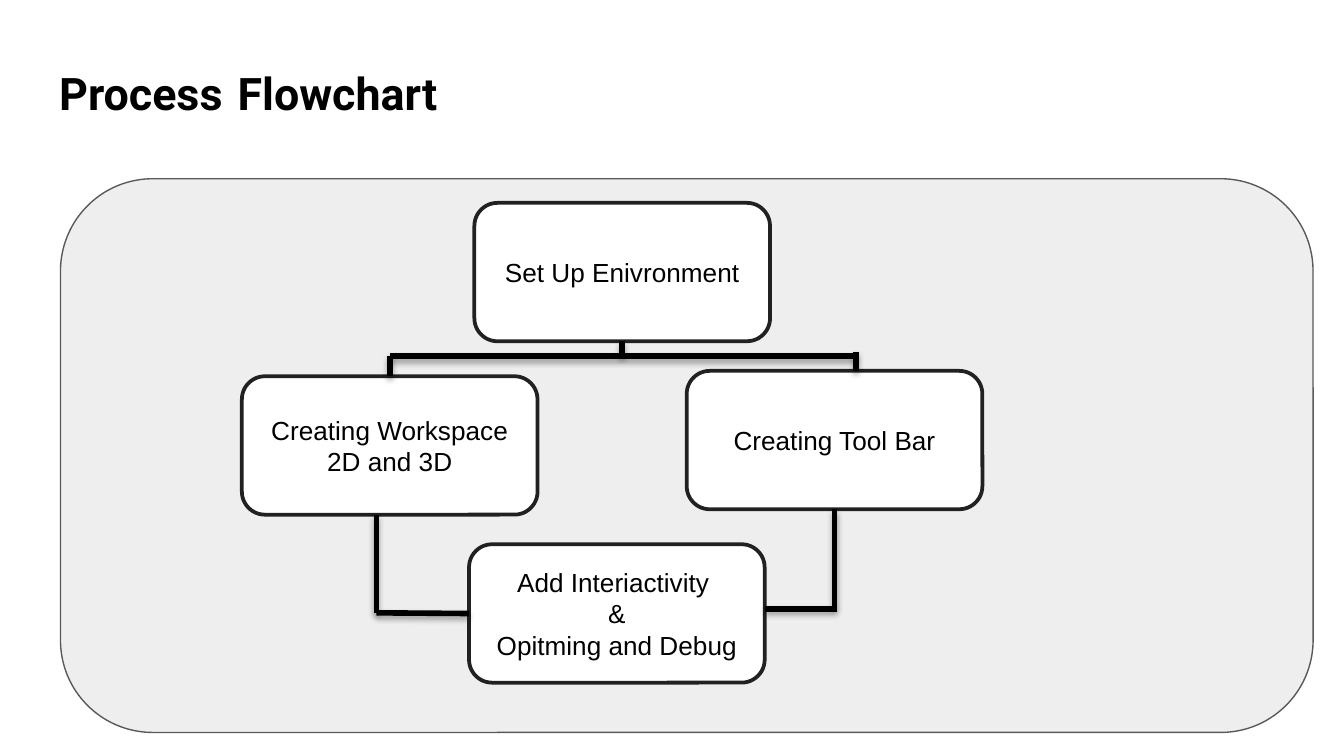
from lxml import etree
from pptx import Presentation
from pptx.dml.color import RGBColor
from pptx.enum.shapes import MSO_CONNECTOR, MSO_SHAPE
from pptx.enum.text import MSO_ANCHOR, PP_ALIGN
from pptx.oxml.ns import qn
from pptx.util import Inches, Pt

BLACK = RGBColor(0x00, 0x00, 0x00)
WHITE = RGBColor(0xFF, 0xFF, 0xFF)
PANEL_GREY = RGBColor(0xEE, 0xEE, 0xEE)
PANEL_EDGE = RGBColor(0x59, 0x59, 0x59)
STEP_EDGE = RGBColor(0x21, 0x21, 0x21)
TOP, LEFT, BOTTOM, RIGHT = range(4)
STEP_WIDTH, STEP_HEIGHT = 2.2, 1.03


def add_text(paragraph, text, *, font="Arial", size=14, color=BLACK, bold=False):
    run = paragraph.add_run()
    run.text = text
    run.font.name = font
    run.font.size = Pt(size)
    run.font.color.rgb = color
    run.font.bold = bold


def add_soft_shadow(connector):
    effects = etree.SubElement(connector._element.spPr, qn("a:effectLst"))
    shadow = etree.SubElement(effects, qn("a:outerShdw"), blurRad=str(Pt(3.1)),
                              dist=str(Pt(1.8)), dir="5400000", rotWithShape="0")
    color = etree.SubElement(shadow, qn("a:srgbClr"), val=str(BLACK))
    etree.SubElement(color, qn("a:alpha"), val="35000")


class Flowchart:
    def __init__(self, slide):
        self.slide = slide

    def title(self, pieces, left, top, width, height):
        """Fill the title from (text, size) pieces."""
        title = self.slide.shapes.title
        title.left, title.top = Inches(left), Inches(top)
        title.width, title.height = Inches(width), Inches(height)
        frame = title.text_frame
        frame.vertical_anchor = MSO_ANCHOR.BOTTOM
        frame.margin_left = frame.margin_right = Inches(0.1)
        frame.margin_top = frame.margin_bottom = Inches(0.1)
        frame.paragraphs[0].alignment = PP_ALIGN.LEFT
        for text, size in pieces:
            add_text(frame.paragraphs[0], text, font="Roboto", size=size, bold=True)

    def rounded_box(self, left, top, width, height, fill, edge, edge_width):
        box = self.slide.shapes.add_shape(
            MSO_SHAPE.ROUNDED_RECTANGLE,
            Inches(left), Inches(top), Inches(width), Inches(height))
        box.shadow.inherit = False
        box.fill.solid()
        box.fill.fore_color.rgb = fill
        box.line.color.rgb = edge
        box.line.width = Pt(edge_width)
        return box

    def step(self, left, top, *lines):
        box = self.rounded_box(left, top, STEP_WIDTH, STEP_HEIGHT, WHITE, STEP_EDGE, 2)
        frame = box.text_frame
        frame.word_wrap = True
        frame.vertical_anchor = MSO_ANCHOR.MIDDLE
        for number, line in enumerate(lines):
            paragraph = frame.add_paragraph() if number else frame.paragraphs[0]
            paragraph.alignment = PP_ALIGN.CENTER
            add_text(paragraph, line)
        return box

    def link(self, start, end, begin_at=None, end_at=None):
        """Draw a line; begin_at and end_at are (step, side) pairs to join."""
        connector = self.slide.shapes.add_connector(
            MSO_CONNECTOR.STRAIGHT, *(Inches(value) for value in (*start, *end)))
        connector.line.color.rgb = BLACK
        connector.line.width = Pt(3)
        add_soft_shadow(connector)
        if begin_at:
            connector.begin_connect(*begin_at)
        if end_at:
            connector.end_connect(*end_at)


def main():
    presentation = Presentation()
    presentation.slide_width = Inches(10)
    presentation.slide_height = Inches(10) * 9 // 16
    chart = Flowchart(presentation.slides.add_slide(presentation.slide_layouts[5]))

    chart.title([("Process", 24), (" ", 32), ("Flowchart", 24)], 0.34, 0.18, 4.29, 0.83)
    chart.rounded_box(0.45, 1.33, 9.32, 4.12, PANEL_GREY, PANEL_EDGE, 0.75)

    setup = chart.step(3.53, 1.51, "Set Up Enivronment")
    tool_bar = chart.step(5.11, 2.76, "Creating Tool Bar")
    workspace = chart.step(1.8, 2.8, "Creating Workspace 2D and 3D")
    debug = chart.step(3.49, 4.05, "Add Interiactivity ", "&", "Opitming and Debug")

    branch_y, left_merge_y, right_merge_y = 2.65, 4.56, 4.53
    chart.link((4.63, 2.54), (4.63, branch_y), begin_at=(setup, BOTTOM))
    chart.link((2.9, branch_y), (6.37, branch_y))
    chart.link((2.9, branch_y), (2.9, 2.8), end_at=(workspace, TOP))
    chart.link((6.21, 3.79), (6.21, 4.51), begin_at=(tool_bar, BOTTOM))
    chart.link((6.23, right_merge_y), (5.69, right_merge_y))
    chart.link((2.8, 3.83), (2.8, left_merge_y))
    chart.link((3.49, left_merge_y), (2.8, left_merge_y), begin_at=(debug, LEFT))
    chart.link((6.37, 2.62), (6.37, 2.76))

    presentation.save("out.pptx")


if __name__ == "__main__":
    main()
